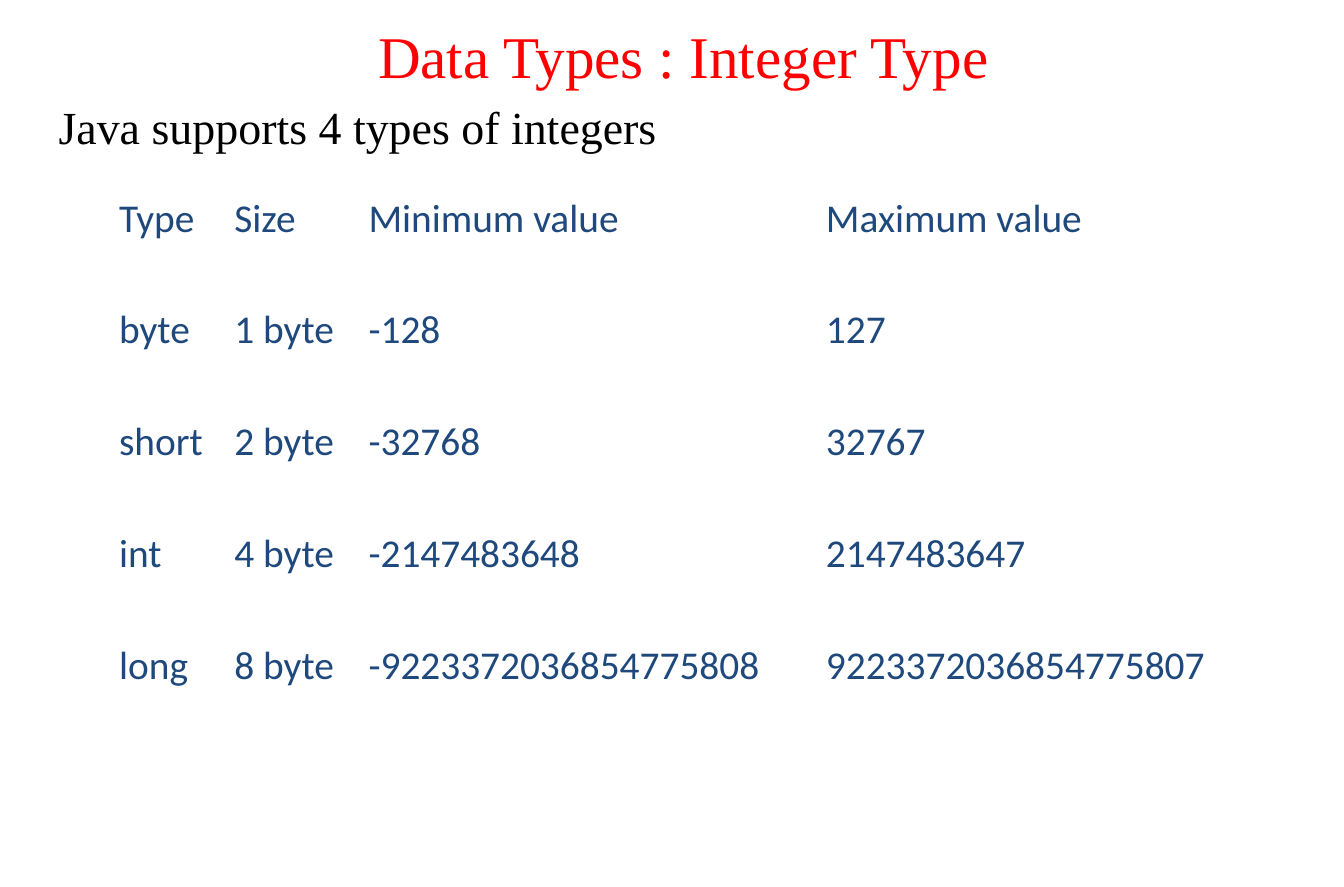
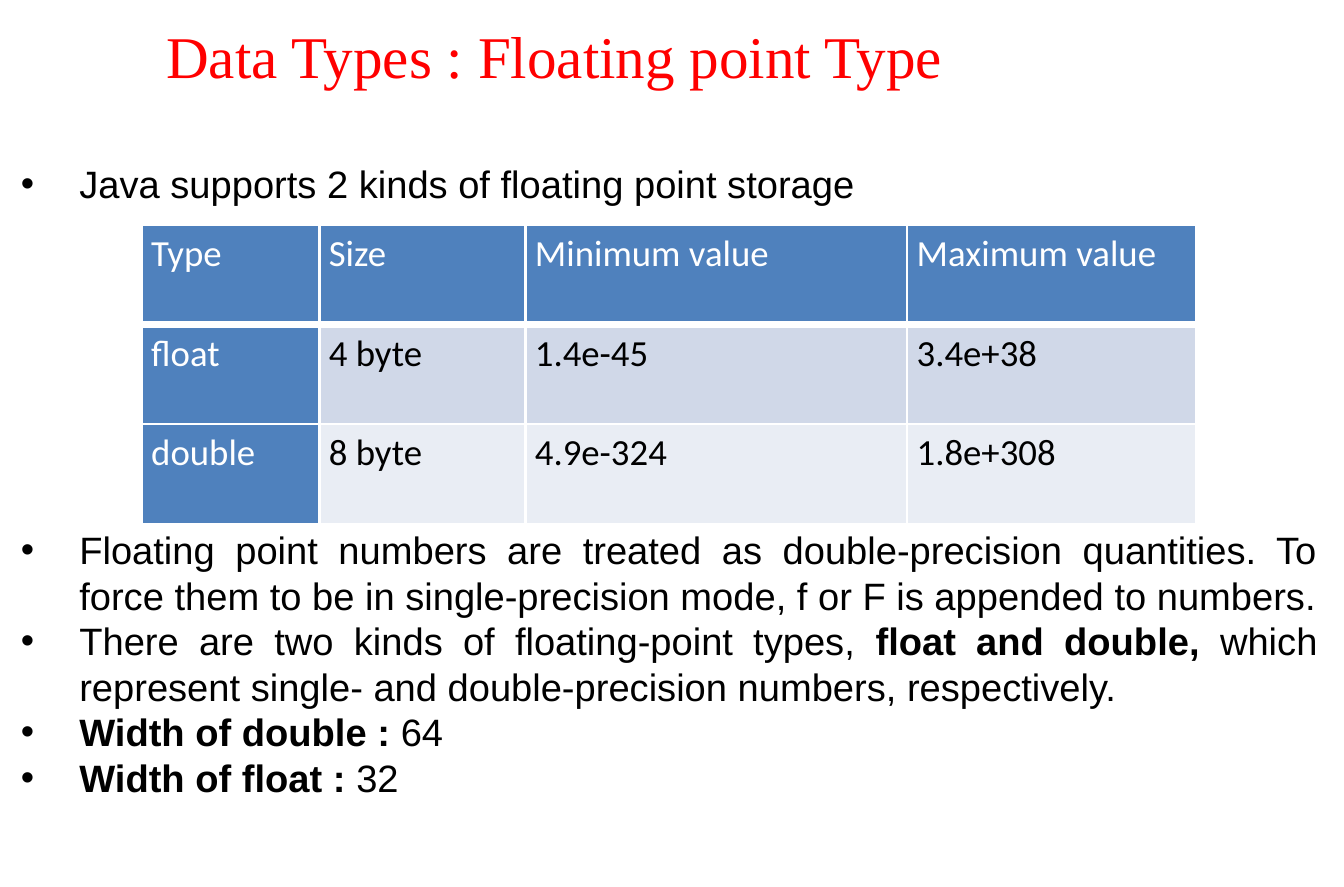
from lxml.etree import SubElement
from pptx import Presentation
from pptx.dml.color import RGBColor
from pptx.enum.text import MSO_ANCHOR, MSO_AUTO_SIZE, PP_ALIGN
from pptx.oxml.ns import qn
from pptx.util import Inches, Pt

RED = RGBColor(0xFF, 0x00, 0x00)
BLACK = RGBColor(0x00, 0x00, 0x00)
WHITE = RGBColor(0xFF, 0xFF, 0xFF)
NAVY = RGBColor(0x1F, 0x49, 0x7D)
BLUE = RGBColor(0x4F, 0x81, 0xBD)
BANDS = (RGBColor(0xD0, 0xD8, 0xE8), RGBColor(0xE9, 0xED, 0xF4))

SERIF, SANS, TABLE_FONT = "Times New Roman", "Arial", "Calibri"
LINE_HEIGHT = 1.2
BULLET_SIZE = 14.5
TABLE_LINES = 7

HEADER = ("Type", "Size", "Minimum value", "Maximum value")
INTEGER_ROWS = (
    HEADER,
    ("byte", "1 byte", "-128", "127"),
    ("short", "2 byte", "-32768", "32767"),
    ("int", "4 byte", "-2147483648", "2147483647"),
    ("long", "8 byte", "-9223372036854775808", "9223372036854775807"),
)
FLOAT_ROWS = (
    HEADER,
    ("float", "4 byte", "1.4e-45", "3.4e+38"),
    ("double", "8 byte", "4.9e-324", "1.8e+308"),
)
FLOAT_POINTS = (
    (("Java supports 2 kinds of floating point storage", False),),
    (("Floating point numbers are treated as double-precision quantities. "
      "To force them to be in single-precision mode, f or F is appended to numbers.", False),),
    (("There are two kinds of floating-point types, ", False),
     ("float and double, ", True),
     ("which represent single- and double-precision numbers, respectively.", False)),
    (("Width of double : ", True), ("64", False)),
    (("Width of float : ", True), ("32", False)),
)


def style_font(font, name, size, color, bold=False):
    """Set the face, size, colour and weight of a font."""
    font.name = name
    font.size = Pt(size)
    font.color.rgb = color
    font.bold = bold


def place(shape, left, top, width, height):
    """Move a placeholder and return its text frame without insets."""
    shape.left, shape.top = Inches(left), Inches(top)
    shape.width, shape.height = Inches(width), Inches(height)
    frame = shape.text_frame
    frame.margin_left = frame.margin_right = frame.margin_top = frame.margin_bottom = 0
    frame.vertical_anchor = MSO_ANCHOR.TOP
    frame.auto_size = MSO_AUTO_SIZE.NONE
    frame.word_wrap = True
    return frame


def set_spacing(paragraph, size, alignment, before=0):
    """Give a paragraph its alignment and fixed line pitch."""
    paragraph.alignment = alignment
    paragraph.line_spacing = Pt(size * LINE_HEIGHT)
    paragraph.space_before = Pt(before)


def set_bullet(paragraph, indent=0.0, character=None):
    """Give a paragraph a hanging bullet, or none at all."""
    properties = paragraph._p.get_or_add_pPr()
    properties.set("marL", str(Inches(indent)))
    properties.set("indent", str(-Inches(indent)))
    if character:
        SubElement(properties, qn("a:buChar")).set("char", character)
    else:
        SubElement(properties, qn("a:buNone"))


def set_line(frame, text, size, color):
    """Write one left-aligned serif line."""
    frame.text = text
    paragraph = frame.paragraphs[0]
    set_spacing(paragraph, size, PP_ALIGN.LEFT)
    style_font(paragraph.runs[0].font, SERIF, size, color)
    return paragraph


def add_titled_slide(presentation, title, left, width, height, inset=0):
    """Add a slide with the shared red title."""
    slide = presentation.slides.add_slide(presentation.slide_layouts[1])
    frame = place(slide.shapes.title, left, 0.1, width, height)
    frame.margin_left = Inches(inset)
    set_line(frame, title, 22.5, RED)
    return slide


def fill_bullets(frame, points):
    """Write justified bullets, leaving room for the table after the first."""
    for index, parts in enumerate(points):
        paragraph = frame.paragraphs[0] if index == 0 else frame.add_paragraph()
        gap = TABLE_LINES * BULLET_SIZE * LINE_HEIGHT if index == 1 else 0
        set_spacing(paragraph, BULLET_SIZE, PP_ALIGN.JUSTIFY, gap)
        set_bullet(paragraph, 0.31, "•")
        for text, bold in parts:
            run = paragraph.add_run()
            run.text = text
            style_font(run.font, SANS, BULLET_SIZE, BLACK, bold)


def set_borders(cell, bottom):
    """Draw white borders around a cell."""
    properties = cell._tc.get_or_add_tcPr()
    widths = (("a:lnL", 1), ("a:lnR", 1), ("a:lnT", 1), ("a:lnB", bottom))
    for index, (tag, width) in enumerate(widths):
        line = properties.makeelement(qn(tag), {"w": str(Pt(width))})
        fill = SubElement(line, qn("a:solidFill"))
        SubElement(fill, qn("a:srgbClr")).set("val", str(WHITE))
        properties.insert(index, line)


def add_type_table(slide, rows, left, top, columns, heights, size, cell_colors):
    """Add a table; cell_colors gives fill and text colour by row and column."""
    shape = slide.shapes.add_table(len(rows), len(columns), Inches(left), Inches(top),
                                   Inches(sum(columns)), Inches(sum(heights)))
    table = shape.table
    table.horz_banding = False
    for column, width in zip(table.columns, columns):
        column.width = Inches(width)
    for row, height in zip(table.rows, heights):
        row.height = Inches(height)
    for row_index, texts in enumerate(rows):
        for column_index, text in enumerate(texts):
            cell = table.cell(row_index, column_index)
            fill, color = cell_colors(row_index, column_index)
            cell.fill.solid()
            cell.fill.fore_color.rgb = fill
            set_borders(cell, 3 if row_index == 0 else 1)
            cell.margin_left = cell.margin_right = Inches(0.05)
            cell.margin_top = cell.margin_bottom = 0
            cell.text = text
            paragraph = cell.text_frame.paragraphs[0]
            paragraph.alignment = PP_ALIGN.JUSTIFY
            paragraph.line_spacing = 1.15
            style_font(paragraph.runs[0].font, TABLE_FONT, size, color)


def plain_colors(row, column):
    """Colour every cell alike."""
    return WHITE, NAVY


def banded_colors(row, column):
    """Colour headings blue and the body rows in bands."""
    if row == 0 or column == 0:
        return BLUE, WHITE
    return BANDS[(row - 1) % 2], BLACK


def add_integer_slide(presentation):
    """Add the slide on integer types."""
    slide = add_titled_slide(presentation, "Data Types : Integer Type", 0, 6.31, 0.57, inset=2)
    frame = place(slide.placeholders[1], 0.31, 0.52, 6.8, 0.42)
    set_bullet(set_line(frame, "Java supports 4 types of integers", 17.5, BLACK))
    last = 1.23
    heights = [(3.6 - last) / 4] * 4 + [last]
    add_type_table(slide, INTEGER_ROWS, 0.58, 0.99, (0.61, 0.71, 2.42, 2.25),
                   heights, 15, plain_colors)


def add_float_slide(presentation):
    """Add the slide on floating point types."""
    slide = add_titled_slide(presentation, "Data Types : Floating point Type", 0.88, 4.85, 0.38)
    fill_bullets(place(slide.placeholders[1], 0.11, 0.85, 6.86, 3.33), FLOAT_POINTS)
    add_type_table(slide, FLOAT_ROWS, 0.75, 1.19, (0.94, 1.09, 2.02, 1.53),
                   [1.58 / 3] * 3, 14, banded_colors)


def main():
    """Build and save the presentation."""
    presentation = Presentation()
    presentation.slide_width, presentation.slide_height = Inches(7.11), Inches(4.69)
    add_integer_slide(presentation)
    add_float_slide(presentation)
    presentation.save("out.pptx")


if __name__ == "__main__":
    main()
